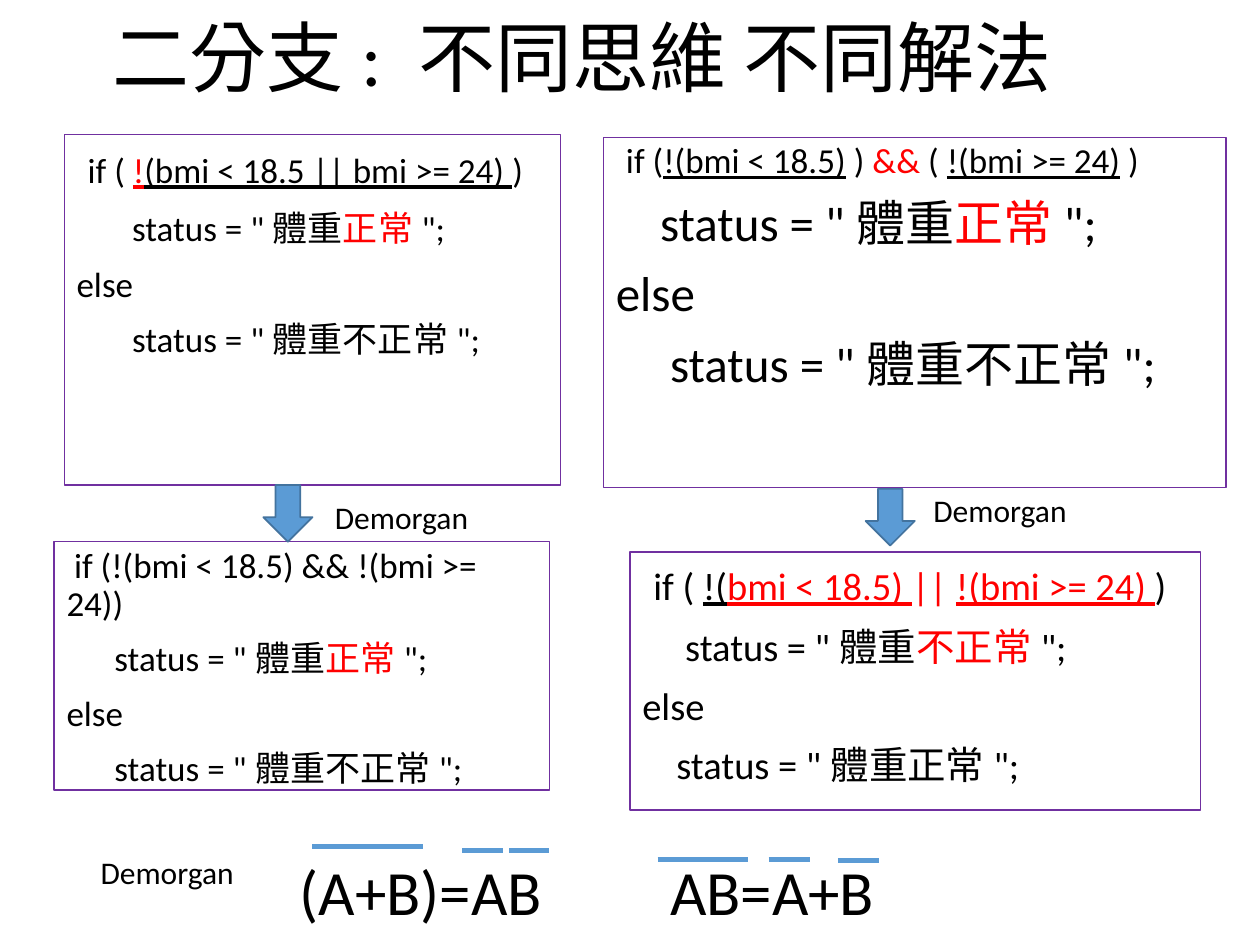
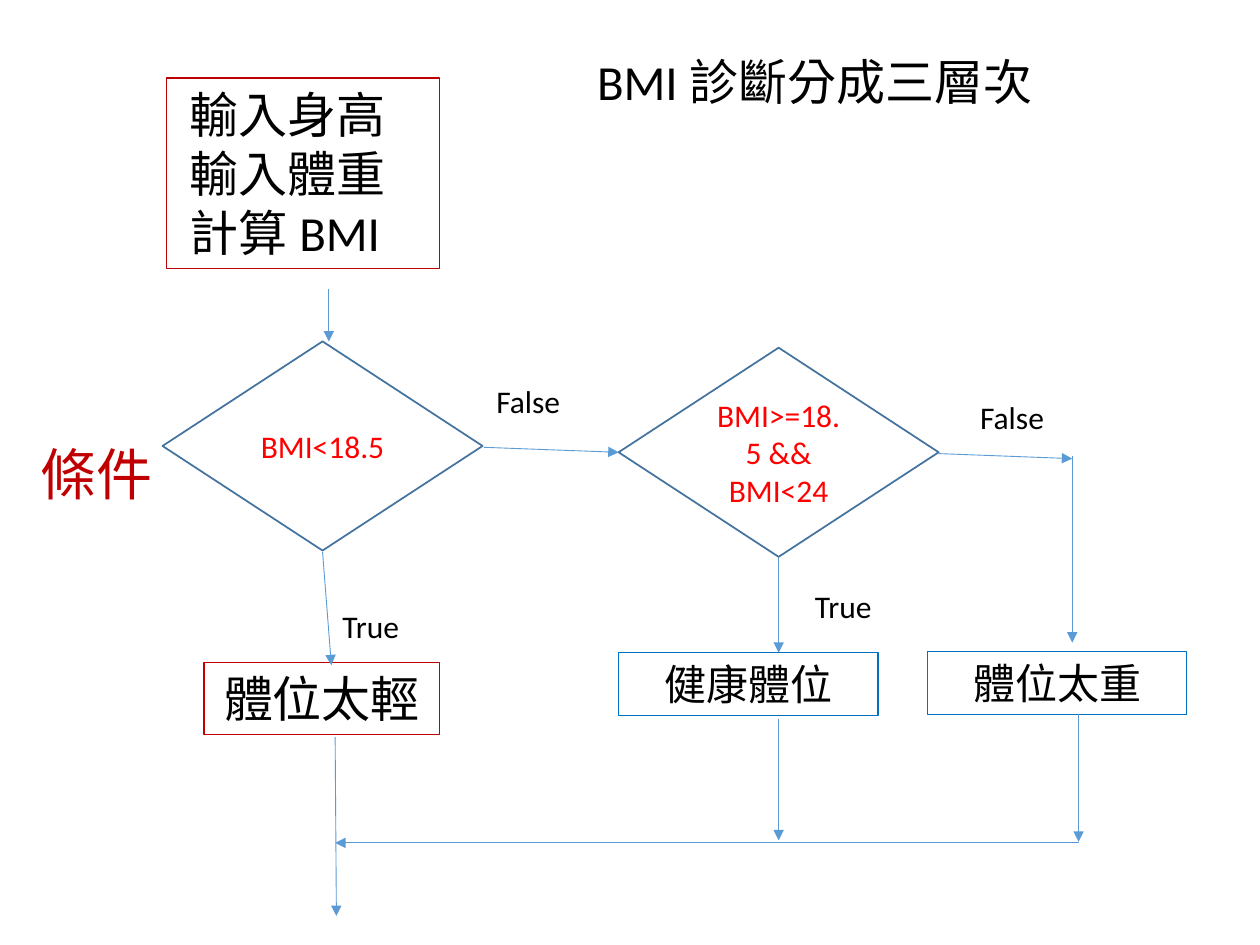
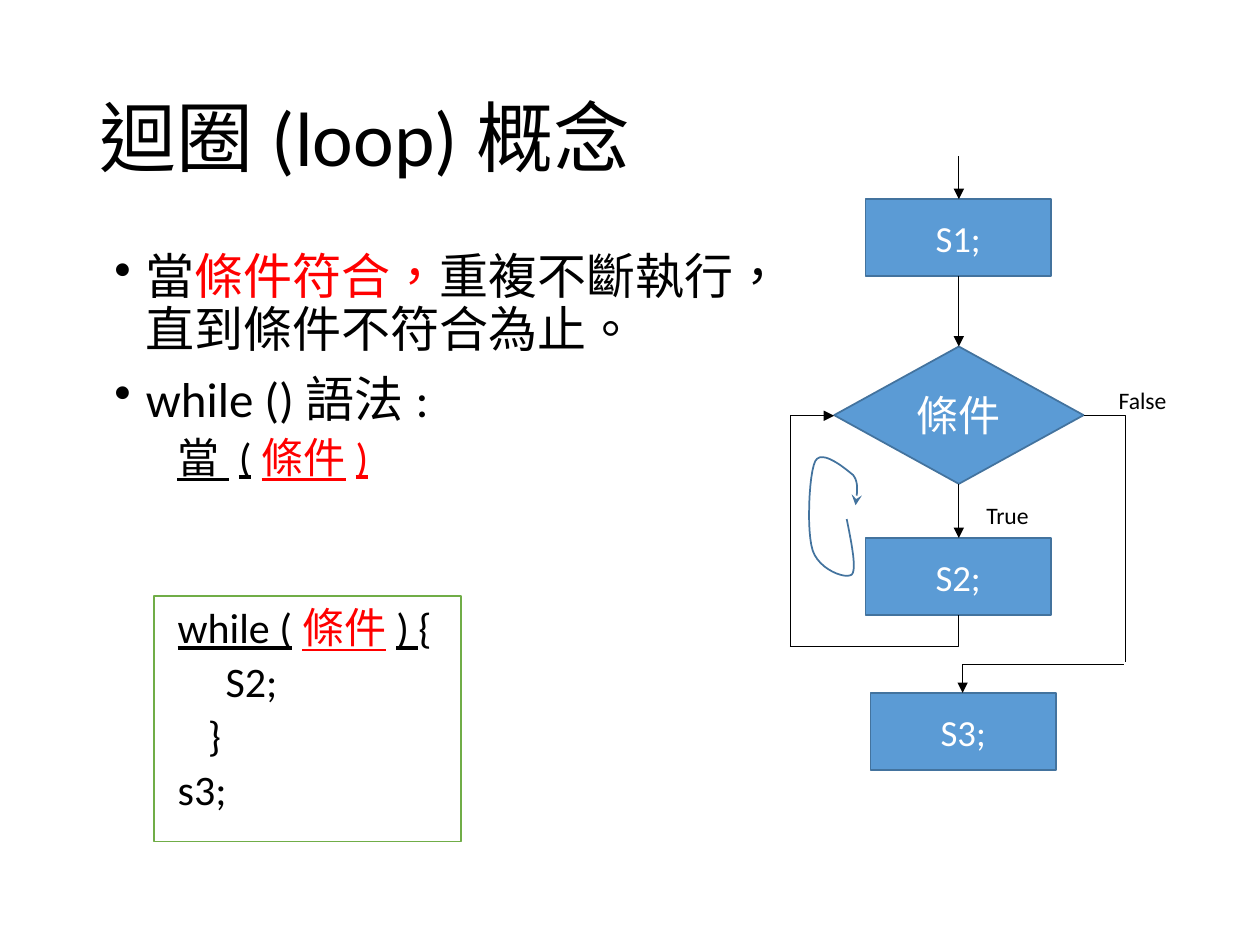
import dataclasses
import typing

import lxml.etree
import pptx
import pptx.dml.color
import pptx.enum.lang
import pptx.enum.shapes
import pptx.enum.text
import pptx.oxml.ns
import pptx.util

EMU_PER_PX = 9144
SHAPES = pptx.enum.shapes.MSO_SHAPE
CONNECTORS = pptx.enum.shapes.MSO_CONNECTOR
LEFT = pptx.enum.text.PP_ALIGN.LEFT
CENTER = pptx.enum.text.PP_ALIGN.CENTER
TOP = pptx.enum.text.MSO_ANCHOR.TOP
MIDDLE = pptx.enum.text.MSO_ANCHOR.MIDDLE


@dataclasses.dataclass(frozen=True)
class Theme:
    font: str = "Calibri"
    black: str = "000000"
    white: str = "FFFFFF"
    red: str = "FF0000"
    dark_red: str = "C00000"
    purple: str = "7030A0"
    blue: str = "5B9BD5"
    blue_edge: str = "43739E"
    outcome_blue: str = "0070C0"
    green: str = "70AD47"
    title: float = 44
    formula: float = 36
    heading: float = 32
    large: float = 28
    medium: float = 24
    condition: float = 22
    step: float = 21
    code: float = 20
    label: float = 18
    small: float = 13.5


THEME = Theme()


@dataclasses.dataclass(frozen=True)
class Span:
    text: str
    color: str = THEME.black
    underline: bool = False
    size: float | None = None


@dataclasses.dataclass(frozen=True)
class Line:
    spans: tuple[Span, ...]
    first_indent: int = 0
    margin: int = 0
    before: float = 0
    spacing: float = 1.0
    align: typing.Any = LEFT
    bullet: bool = False
    size: float | None = None


@dataclasses.dataclass(frozen=True)
class Box:
    left: int
    top: int
    width: int
    height: int
    lines: tuple[Line, ...] = ()
    size: float = THEME.label
    kind: typing.Any = SHAPES.RECTANGLE
    line: str = THEME.purple
    weight: float = 0.75
    fill: str | None = None
    anchor: typing.Any = TOP
    inset_left: int = 10
    inset_top: int = 5


@dataclasses.dataclass(frozen=True)
class Label:
    text: str
    left: int
    top: int
    width: int
    height: int = 40
    size: float = THEME.label
    color: str = THEME.black


@dataclasses.dataclass(frozen=True)
class Link:
    start: tuple[int, int]
    end: tuple[int, int]
    color: str = THEME.blue
    weight: float = 0.5
    arrow: str | None = "tailEnd"
    bent: bool = False


def px(length: float) -> pptx.util.Emu:
    return pptx.util.Emu(round(length * EMU_PER_PX))


def rgb(color: str) -> pptx.dml.color.RGBColor:
    return pptx.dml.color.RGBColor.from_string(color)


def red(text: str, underline: bool = False) -> Span:
    return Span(text, THEME.red, underline)


def under(text: str) -> Span:
    return Span(text, underline=True)


def code(*spans: Span | str, **options) -> Line:
    parts = tuple(Span(span) if isinstance(span, str) else span for span in spans)
    return Line(parts, **{"before": 10, "spacing": 0.9, **options})


def centered(text: str, color: str = THEME.black) -> tuple[Line, ...]:
    return (Line((Span(text, color),), align=CENTER),)


def status(indent: int, normal: str, color: str = THEME.black, size: float | None = None) -> Line:
    return code('status = "體重', Span(normal, color), '";', first_indent=indent, size=size)


def write_run(paragraph, text: str, *, size: float, color: str, underline: bool = False) -> None:
    run = paragraph.add_run()
    run.text = text
    run.font.name = THEME.font
    run.font.size = pptx.util.Pt(size)
    run.font.color.rgb = rgb(color)
    run.font.language_id = pptx.enum.lang.MSO_LANGUAGE_ID.TRADITIONAL_CHINESE
    if underline:
        run.font.underline = True


def write_lines(frame, lines: tuple[Line, ...], size: float) -> None:
    for index, line in enumerate(lines):
        paragraph = frame.paragraphs[0] if index == 0 else frame.add_paragraph()
        paragraph.alignment = line.align
        paragraph.line_spacing = line.spacing
        paragraph.space_before = pptx.util.Pt(line.before)
        properties = paragraph._p.get_or_add_pPr()
        properties.set("marL", str(px(line.margin)))
        properties.set("indent", str(px(line.first_indent)))
        if line.bullet:
            bullet = lxml.etree.SubElement(properties, pptx.oxml.ns.qn("a:buChar"))
            bullet.set("char", "•")
        for span in line.spans:
            write_run(paragraph, span.text, size=span.size or line.size or size,
                      color=span.color, underline=span.underline)


def add_text(slide, left: int, top: int, width: int, height: int, lines: tuple[Line, ...],
             size: float, wrap: bool = True, anchor=TOP) -> None:
    shape = slide.shapes.add_textbox(px(left), px(top), px(width), px(height))
    frame = shape.text_frame
    frame.word_wrap = wrap
    frame.vertical_anchor = anchor
    if not wrap:
        frame.auto_size = pptx.enum.text.MSO_AUTO_SIZE.SHAPE_TO_FIT_TEXT
    write_lines(frame, lines, size)


def add_title(slide, text: str, left: int, top: int, width: int, height: int,
              size: float = THEME.title, align=LEFT) -> None:
    line = Line((Span(text),), spacing=0.9, align=align)
    add_text(slide, left, top, width, height, (line,), size, anchor=MIDDLE)


def add_label(slide, label: Label) -> None:
    line = Line((Span(label.text, label.color),))
    add_text(slide, label.left, label.top, label.width, label.height, (line,), label.size, wrap=False)


def style_line(shape, color: str, weight: float) -> None:
    shape.line.color.rgb = rgb(color)
    shape.line.width = pptx.util.Pt(weight)


def add_arrowhead(shape, end: str, kind: str) -> None:
    head = lxml.etree.SubElement(shape.line._get_or_add_ln(), pptx.oxml.ns.qn(f"a:{end}"))
    head.set("type", kind)


def add_box(slide, box: Box) -> None:
    shape = slide.shapes.add_shape(box.kind, px(box.left), px(box.top), px(box.width), px(box.height))
    if box.fill:
        shape.fill.solid()
        shape.fill.fore_color.rgb = rgb(box.fill)
    else:
        shape.fill.background()
    style_line(shape, box.line, box.weight)
    shape.shadow.inherit = False
    frame = shape.text_frame
    frame.word_wrap = True
    frame.vertical_anchor = box.anchor
    frame.margin_left = px(box.inset_left)
    frame.margin_top = px(box.inset_top)
    write_lines(frame, box.lines, box.size)


def add_link(slide, link: Link) -> None:
    kind = CONNECTORS.ELBOW if link.bent else CONNECTORS.STRAIGHT
    connector = slide.shapes.add_connector(kind, *map(px, link.start + link.end))
    properties = connector._element.spPr
    if link.bent:
        properties.find(pptx.oxml.ns.qn("a:prstGeom")).set("prst", "bentConnector2")
    style_line(connector, link.color, link.weight)
    if link.arrow:
        add_arrowhead(connector, link.arrow, "triangle")
    lxml.etree.SubElement(properties, pptx.oxml.ns.qn("a:effectLst"))


def add_items(slide, items: typing.Iterable[Box | Label | Link]) -> None:
    painters = {Box: add_box, Label: add_label, Link: add_link}
    for item in items:
        painters[type(item)](slide, item)


def curve_point(points: list[tuple[int, int]], t: float) -> tuple[int, int]:
    weights = ((1 - t) ** 3, 3 * t * (1 - t) ** 2, 3 * t * t * (1 - t), t ** 3)
    x, y = (sum(weight * point[axis] for weight, point in zip(weights, points)) for axis in (0, 1))
    return px(x), px(y)


def add_curve(slide, points: list[tuple[int, int]], steps: int = 12) -> None:
    builder = slide.shapes.build_freeform(*map(px, points[0]), scale=1.0)
    for first in range(0, len(points) - 1, 3):
        segment = points[first:first + 4]
        builder.add_line_segments(
            [curve_point(segment, step / steps) for step in range(1, steps + 1)], close=False)
    shape = builder.convert_to_shape()
    shape.fill.background()
    style_line(shape, THEME.blue_edge, 1)
    add_arrowhead(shape, "tailEnd", "stealth")
    shape.shadow.inherit = False


def build_two_branches(slide) -> None:
    space = Span(" ", size=THEME.large)
    otherwise = code("else")
    add_items(slide, (
        Box(500, 438, 453, 205, (
            code(space, "if ( ", under("!("), red("bmi < 18.5) ", True), red("|| "),
                 red("!(bmi >= 24) ", True), ")"),
            status(34, "不正常", THEME.red), otherwise, status(27, "正常")), THEME.condition),
        Box(51, 107, 394, 278, (
            code(space, "if ( ", red("!", True), under("(bmi < 18.5 || bmi >= 24) "), ")"),
            status(44, "正常", THEME.red), otherwise, status(44, "不正常")), THEME.code),
        Box(479, 109, 494, 278, (
            code("if (", under("!(bmi < 18.5)"), " ) ", red("&& "), "( ",
                 under("!(bmi >= 24)"), " )", first_indent=8, size=THEME.code),
            status(35, "正常", THEME.red), otherwise, status(43, "不正常")), THEME.large),
        Box(43, 430, 393, 197, (
            code("if (!(bmi < 18.5) && !(bmi >= 24))", first_indent=6),
            status(38, "正常", THEME.red), otherwise, status(38, "不正常")), THEME.code),
    ))
    add_title(slide, "二分支: 不同思維 不同解法", 31, 2, 862, 93, align=CENTER)
    add_items(slide, (Box(left, top, 39, 45, kind=SHAPES.DOWN_ARROW, line=THEME.blue_edge,
                          weight=1, fill=THEME.blue) for left, top in ((209, 385), (687, 388))))
    add_items(slide, (Label("Demorgan", left, top, 127)
                      for left, top in ((256, 390), (731, 385), (70, 672))))
    add_items(slide, (
        Label("(A+B)=AB", 228, 672, 214, 71, THEME.formula),
        Label("AB=A+B", 522, 672, 184, 71, THEME.formula),
    ))
    overbars = ((248, 336, 672), (367, 399, 675), (404, 436, 675),
                (522, 594, 682), (610, 643, 682), (665, 698, 683))
    add_items(slide, (Link((left, y), (right, y), weight=3, arrow=None)
                      for left, right, y in overbars))


def build_three_levels(slide) -> None:
    add_title(slide, "BMI診斷分成三層次", 464, 40, 438, 54, THEME.large)
    add_items(slide, (Box(left, top, 254, 166, centered(text, THEME.red), kind=SHAPES.DIAMOND,
                          line=THEME.blue_edge, weight=1, anchor=MIDDLE)
                      for left, top, text in ((129, 271, "BMI<18.5"),
                                              (491, 276, "BMI>=18.5 && BMI<24"))))
    inputs = tuple(Line((Span(f" {text}"),)) for text in ("輸入身高", "輸入體重", "計算BMI"))
    add_items(slide, (
        Box(132, 62, 217, 151, inputs, THEME.large, line=THEME.dark_red),
        Box(162, 526, 187, 57, centered("體位太輕"), THEME.large, line=THEME.dark_red),
        Box(491, 518, 206, 50, centered("健康體位"), THEME.medium, line=THEME.outcome_blue),
        Box(736, 517, 206, 50, centered("體位太重"), THEME.medium, line=THEME.outcome_blue),
    ))
    routes = (
        ((261, 229), (261, 271)), ((256, 438), (263, 528)), ((384, 355), (491, 359)),
        ((745, 360), (851, 364)), ((851, 362), (851, 510)), ((618, 442), (618, 518)),
        ((266, 585), (267, 727)), ((618, 571), (618, 667)), ((856, 567), (856, 668)),
        ((856, 669), (266, 669)),
    )
    add_items(slide, (Link(start, end) for start, end in routes))
    add_items(slide, (
        Label("False", 384, 298, 71),
        Label("False", 768, 311, 71),
        Label("True", 262, 477, 66),
        Label("True", 637, 461, 66),
        Label("條件", 22, 344, 110, 64, THEME.heading, THEME.dark_red),
    ))


def build_loop(slide) -> None:
    add_title(slide, "迴圈(loop)概念", 69, 40, 862, 145)
    bullet = {"margin": 25, "first_indent": -25, "bullet": True}
    add_text(slide, 81, 195, 520, 250, (
        code("當", red("條件符合，"), "重複不斷執行，直到條件不符合為止。", **bullet),
        code("while ()語法:", **bullet),
        code(under("當 ("), red("條件)", True), margin=50, before=5, size=THEME.medium),
    ), THEME.large)
    add_items(slide, (
        Box(122, 473, 244, 195, (
            code(under("while ("), red("條件", True), under(") "), "{", before=5),
            code("S2;", first_indent=38, before=5),
            code("}", first_indent=24, before=5),
            code("s3;", before=5),
        ), THEME.medium, line=THEME.green, weight=1, fill=THEME.white, inset_left=19, inset_top=9),
        Box(662, 275, 198, 109, centered("條件", THEME.white), THEME.medium,
            SHAPES.FLOWCHART_DECISION, THEME.blue_edge, 1, THEME.blue, MIDDLE),
    ))
    add_items(slide, (Box(left, top, 147, 61, centered(text, THEME.white), THEME.step,
                          SHAPES.FLOWCHART_PROCESS, THEME.blue_edge, 1, THEME.blue, MIDDLE)
                      for left, top, text in ((687, 158, "S1;"), (687, 427, "S2;"), (691, 550, "S3;"))))
    add_items(slide, (Link((761, top), (761, bottom), THEME.black)
                      for top, bottom in ((124, 158), (219, 275), (384, 427))))
    bends = (
        ((627, 513), (761, 488), None),
        ((662, 330), (627, 513), "headEnd"),
        ((860, 330), (893, 525), None),
        ((892, 527), (764, 550), "tailEnd"),
    )
    add_items(slide, (Link(start, end, THEME.black, arrow=arrow, bent=True)
                      for start, end, arrow in bends))
    add_items(slide, (
        Label("True", 773, 393, 54, 56, THEME.small),
        Label("False", 878, 301, 59, 56, THEME.small),
    ))
    add_curve(slide, [
        (672, 412), (676, 432), (680, 452), (676, 456), (671, 460), (650, 452), (645, 437),
        (640, 422), (642, 376), (647, 366), (652, 356), (671, 372), (677, 377),
        (682, 383), (680, 392), (679, 401),
    ])


def main() -> None:
    presentation = pptx.Presentation()
    presentation.slide_width = px(1000)
    presentation.slide_height = px(750)
    for build in (build_two_branches, build_three_levels, build_loop):
        build(presentation.slides.add_slide(presentation.slide_layouts[6]))
    presentation.save("out.pptx")


if __name__ == "__main__":
    main()
